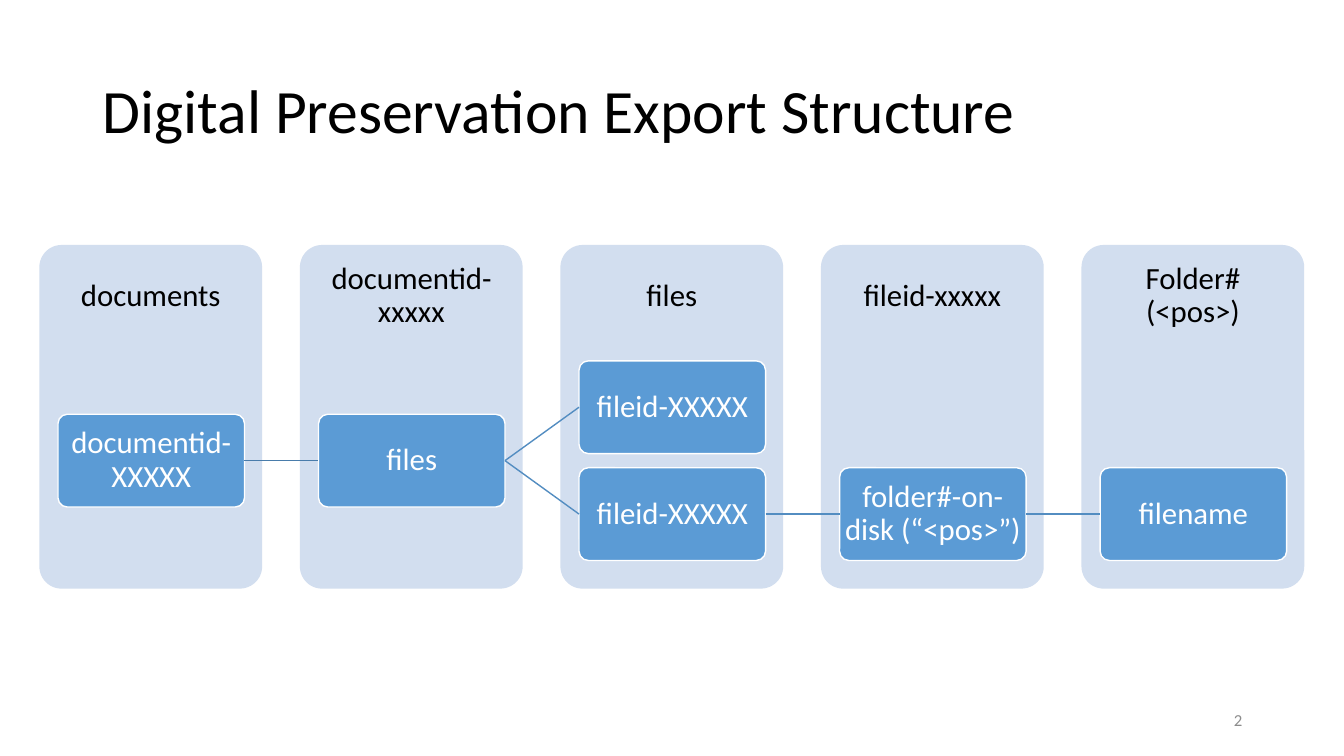
"""Build the slide that shows the folder levels of a digital preservation export."""
from dataclasses import dataclass

from lxml import etree
from pptx import Presentation
from pptx import util as u
from pptx.dml.color import RGBColor
from pptx.enum import shapes, text


@dataclass(frozen=True)
class Theme:
    font: str = "Calibri"
    ink: str = "000000"
    white: str = "FFFFFF"
    panel: str = "D2DEEF"
    box: str = "5B9BD5"
    first: str = "497CAB"
    link: str = "538DC1"
    muted: str = "8C8C8C"
    title: int = 44
    body: int = 22
    small: int = 12


look = Theme()
deck = Presentation()
deck.slide_width, deck.slide_height = u.Inches(13.33), u.Inches(7.5)
page = deck.slides.add_slide(deck.slide_layouts[6]).shapes
rgb = RGBColor.from_string
align = text.PP_ALIGN


def write(shape, words, size, color, side, pad):
    """Put one line of styled, wrapped text in a shape."""
    frame = shape.text_frame
    frame.word_wrap = True
    frame.vertical_anchor = text.MSO_ANCHOR.MIDDLE
    frame.margin_left = frame.margin_right = u.Inches(pad)
    frame.margin_top = frame.margin_bottom = u.Inches(min(pad, 0.05) if pad == 0.1 else pad)
    para = frame.paragraphs[0]
    para.text, para.alignment, para.line_spacing = words, side, 0.9
    para.font.name, para.font.size = look.font, u.Pt(size)
    para.font.color.rgb = rgb(color)


def block(spot, fill):
    """Add a flat rounded rectangle without an outline."""
    shape = page.add_shape(shapes.MSO_SHAPE.ROUNDED_RECTANGLE, *map(u.Inches, spot))
    shape.adjustments[0] = 0.1
    shape.shadow.inherit = False
    shape.fill.solid()
    shape.fill.fore_color.rgb = rgb(fill)
    shape.line.fill.background()
    return shape


left, top, pitch = 0.39, 2.43, 2.584
wide, tall, head = 2.21, 3.41, 1.02
inset, width, height = 0.185, 1.85, 0.92
start, step = 3.58, 0.53

labels = [
    (0.92, 0.4, 11.5, 1.45, "Digital Preservation Export Structure",
     look.title, look.ink, align.LEFT),
    (9.42, 6.95, 3, 0.4, "2", look.small, look.muted, align.RIGHT),
]
for x, y, w, h, words, size, color, side in labels:
    label = page.add_textbox(*map(u.Inches, (x, y, w, h)))
    write(label, words, size, color, side, 0.1)

levels = ["documents", "documentid-xxxxx", "files", "fileid-xxxxx", "Folder# (<pos>)"]
for col, words in enumerate(levels):
    x = left + col * pitch
    block((x, top, wide, tall), look.panel)
    label = page.add_textbox(*map(u.Inches, (x, top, wide, head)))
    write(label, words, look.body, look.ink, align.CENTER, 0.17)

nodes = [
    (0, 1, "documentid-XXXXX"),
    (1, 1, "files"),
    (2, 0, "fileid-XXXXX"),
    (2, 2, "fileid-XXXXX"),
    (3, 2, "folder#-on-disk\u00a0(“<pos>”)"),
    (4, 2, "filename"),
]
boxes = []
for col, row, words in nodes:
    spot = (left + col * pitch + inset, start + row * step, width, height)
    box = block(spot, look.box)
    box.line.color.rgb, box.line.width = rgb(look.white), u.Pt(1)
    write(box, words, look.body, look.white, align.CENTER, 0.02)
    boxes.append(box)

for a, b in [(0, 1), (1, 2), (1, 3), (3, 4), (4, 5)]:
    link = page.add_connector(shapes.MSO_CONNECTOR.STRAIGHT, 0, 0, 0, 0)
    link.begin_connect(boxes[a], 3)
    link.end_connect(boxes[b], 1)
    link.line.color.rgb = rgb(look.link if a else look.first)
    link.line.width = u.Pt(1)
    props = link.line._get_or_add_ln().getparent()
    etree.SubElement(props, "{http://schemas.openxmlformats.org/drawingml/2006/main}effectLst")

deck.save("out.pptx")
